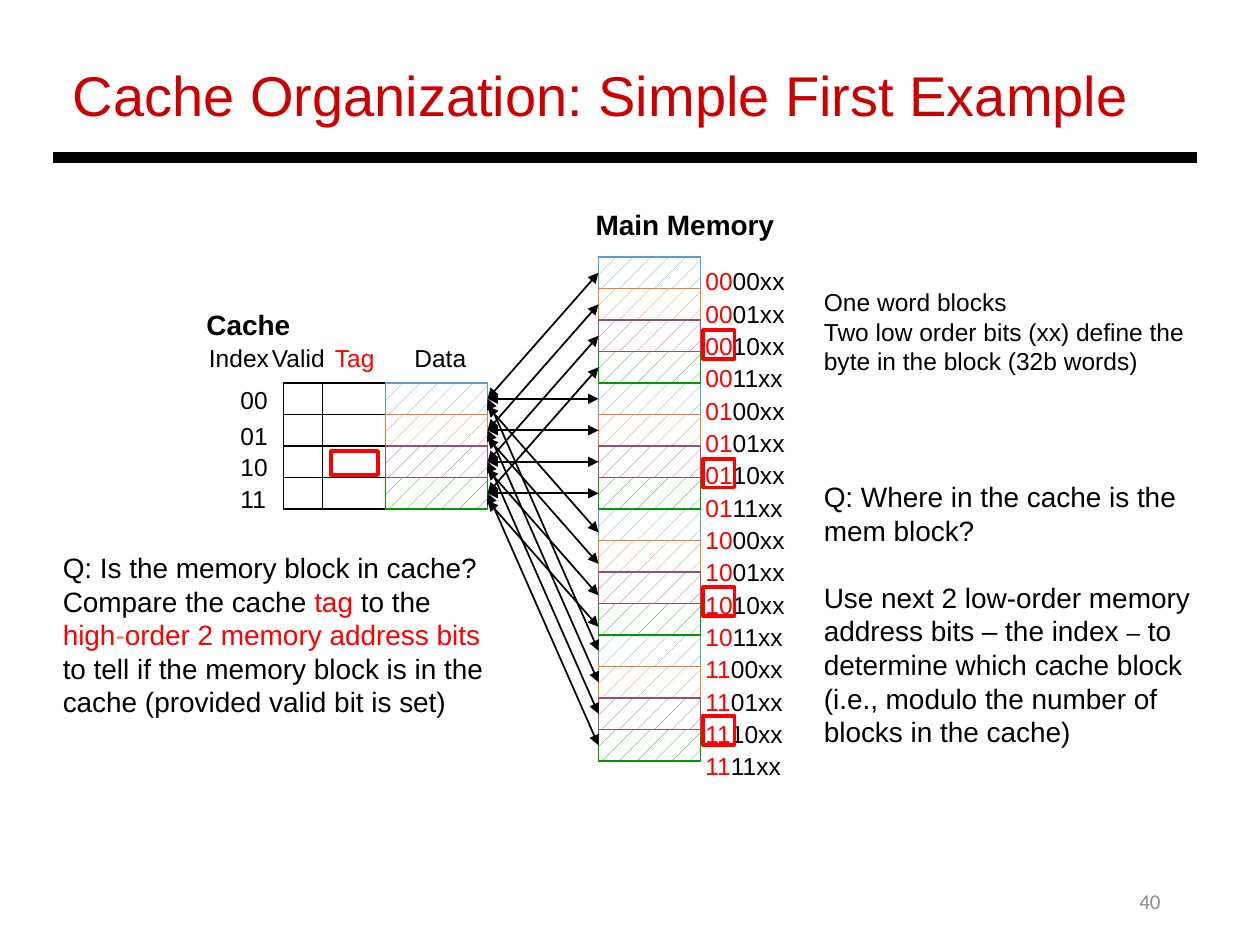
from dataclasses import dataclass

from lxml import etree
from pptx import Presentation
from pptx import util as u
from pptx.dml import color
from pptx.enum import dml, shapes, text
from pptx.oxml import ns


def rgb(code):
    """Return the colour for a hex code."""
    return color.RGBColor.from_string(code)


@dataclass(frozen=True)
class Theme:
    """Colours, fonts and type sizes of the slide."""
    black = rgb("000000")
    white = rgb("FFFFFF")
    red = rgb("FF0000")
    title_red = rgb("CC0000")
    grey = rgb("8C8C8C")
    blue = rgb("5B9BD5")
    orange = rgb("ED7D31")
    purple = rgb("954F72")
    green = rgb("009900")
    font = "Arial"
    number_font = "Calibri"
    title_size = 32
    body_size = 16
    label_size = 14
    number_size = 12


THEME = Theme()
BLOCK_COLOURS = [THEME.blue, THEME.orange, THEME.purple, THEME.green]
STACKING = [0, 3, 1, 2]
ROW = 0.25
BLOCK_WIDTH = 0.81
BITS = ["00", "01", "10", "11"]


def apply(target, values):
    """Set each named attribute of the target."""
    for name, value in values.items():
        setattr(target, name, value)


def add_text(slide, box, paragraphs, size=THEME.label_size, wrap=True,
             anchor=text.MSO_ANCHOR.TOP, fit=text.MSO_AUTO_SIZE.SHAPE_TO_FIT_TEXT,
             layout=None, **font):
    """Place paragraphs, each a list of (words, font overrides) runs, in a box."""
    frame = slide.shapes.add_textbox(*map(u.Inches, box)).text_frame
    apply(frame, {"word_wrap": wrap, "auto_size": fit, "vertical_anchor": anchor})
    for number, runs in enumerate(paragraphs):
        paragraph = frame.add_paragraph() if number else frame.paragraphs[0]
        apply(paragraph, layout or {})
        for words, overrides in runs:
            run = paragraph.add_run()
            run.text = words
            values = {"size": size, "name": THEME.font, "color": THEME.black, **font, **overrides}
            run.font.color.rgb = values.pop("color")
            values["size"] = u.Pt(values["size"])
            apply(run.font, values)
    return frame


def add_label(slide, box, words, **font):
    """Place a one-line label that does not wrap."""
    add_text(slide, box, [[(words, {})]], wrap=False, **font)


def add_box(slide, box, colour, width=1.0, patterned=False):
    """Draw an outlined rectangle, either empty or with a dotted pattern."""
    rectangle = slide.shapes.add_shape(shapes.MSO_SHAPE.RECTANGLE, *map(u.Inches, box))
    rectangle.shadow.inherit = False
    if patterned:
        rectangle.fill.patterned()
        rectangle.fill.pattern = dml.MSO_PATTERN.PERCENT_5
        rectangle.fill.fore_color.rgb = colour
        rectangle.fill.back_color.rgb = THEME.white
    else:
        rectangle.fill.background()
    rectangle.line.color.rgb = colour
    rectangle.line.width = u.Pt(width)
    return rectangle


def add_line(slide, start, end, width=1.0, arrows=False):
    """Draw a straight black line, with arrowheads at both ends if asked."""
    line = slide.shapes.add_connector(shapes.MSO_CONNECTOR.STRAIGHT,
                                      *map(u.Inches, (*start, *end)))
    line.line.color.rgb = THEME.black
    line.line.width = u.Pt(width)
    properties = line.element.spPr
    if arrows:
        for tag in ("a:headEnd", "a:tailEnd"):
            etree.SubElement(properties.find(ns.qn("a:ln")), ns.qn(tag), type="triangle")
    etree.SubElement(properties, ns.qn("a:effectLst"))
    return line


def add_header(slide, left, top, width):
    """Place the title and the rule under it."""
    add_text(slide, (left + 0.06, top, width + 0.05, 0.64),
             [[("Cache Organization: Simple First Example", {})]],
             size=THEME.title_size, color=THEME.title_red)
    add_line(slide, (left, top + 0.82), (left + width, top + 0.82), width=6)


def add_blocks(slide, left, top, count):
    """Stack memory blocks in the repeating colours and return them in order."""
    blocks = {}
    for kind in STACKING:
        for row in range(kind, count, len(BLOCK_COLOURS)):
            blocks[row] = add_box(slide, (left, top + row * ROW, BLOCK_WIDTH, ROW),
                                  BLOCK_COLOURS[kind], patterned=True)
    return [blocks[row] for row in range(count)]


def add_column(slide, left, top, width):
    """Draw an empty four-row column of the cache."""
    add_box(slide, (left, top, width, len(BITS) * ROW), THEME.black)
    for row in range(1, len(BITS)):
        y = top + row * ROW
        add_line(slide, (left, y), (left + width, y))


def add_cache(slide, left, top):
    """Draw the cache with its headings and return the data blocks."""
    add_label(slide, (left - 0.71, top - 0.65, 0.87, 0.37), "Cache",
              size=THEME.body_size, bold=True)
    headings = [("Index", -0.69, 0.68, THEME.black), ("Valid", -0.19, 0.62, THEME.black),
                ("Tag", 0.31, 0.52, THEME.red), ("Data", 0.94, 0.62, THEME.black)]
    for words, offset, width, colour in headings:
        add_label(slide, (left + offset, top - 0.37, width, 0.34), words, color=colour)
    for row, bits in enumerate(BITS):
        nudge = 0.03 if row == 0 else 0
        add_label(slide, (left - 0.44, top + row * ROW - nudge, 0.42, 0.34), bits)
    add_column(slide, left, top, 0.31)
    add_column(slide, left + 0.31, top, 0.5)
    blocks = add_blocks(slide, left + 0.81, top, len(BITS))
    add_box(slide, (left + 0.38, top + 0.54, 0.37, 0.19), THEME.red, width=2.25)
    return blocks


def add_memory(slide, left, top):
    """Draw main memory with its addresses and return the blocks."""
    add_label(slide, (left - 0.12, top - 0.44, 1.64, 0.37), "Main Memory",
              size=THEME.body_size, bold=True)
    blocks = add_blocks(slide, left, top, len(BITS) ** 2)
    addresses = [[(tag, {"color": THEME.red}), (index + "xx", {})]
                 for tag in BITS for index in BITS]
    add_text(slide, (left + 0.75, top, 1.05, 4.25), addresses, layout={"line_spacing": 1.1})
    for group in range(len(BITS)):
        add_box(slide, (left + 0.83, top + 0.58 + group * 1.02, 0.25, 0.23),
                THEME.red, width=2.25)
    return blocks


def add_mapping(slide, cache_box, memory_box, cache_blocks, memory_blocks):
    """Link every memory block to the cache block that its index selects."""
    cache_right, cache_top = cache_box
    memory_left, memory_top = memory_box
    lowered_group = 2
    for number, memory_block in enumerate(memory_blocks):
        group, index = divmod(number, len(cache_blocks))
        shift = ROW / 2 + (0.06 if group == lowered_group else 0)
        link = add_line(slide, (memory_left, memory_top + number * ROW + shift),
                        (cache_right, cache_top + index * ROW + shift), arrows=True)
        if group != lowered_group:
            link.begin_connect(memory_block, 1)
            link.end_connect(cache_blocks[index], 3)


def add_notes(slide, left, right):
    """Place the questions and explanations beside the diagram."""
    red = {"color": THEME.red}
    add_text(slide, (left, 4.32, 3.57, 1.45), [
        [("Q: Is the memory block in cache?", {})],
        [("Compare the cache ", {}), ("tag ", red), ("to the ", {}), ("high", red),
         ("-", {"color": THEME.orange}), ("order 2 memory address bits ", red),
         ("to tell if the memory block is in the cache (provided valid bit is set)", {})],
    ], size=THEME.body_size)
    add_text(slide, (right, 2.23, 3.19, 0.81), [
        [("One word blocks", {})],
        [("Two low order bits (xx) define the byte in the block (32b words)", {})],
    ])
    where = add_text(slide, (right, 3.76, 3.4, 2.26), [
        [("Q: Where in the cache is the mem block?", {})],
        [("Use next 2 low-order memory address bits – the index ", {}),
         ("–", {"size": THEME.label_size}),
         (" to determine which cache block (i.e., modulo the number of blocks in the cache)", {})],
    ], size=THEME.body_size)
    where.paragraphs[1].space_before = u.Pt(19)


def main():
    """Build the slide and save it."""
    deck = Presentation()
    apply(deck, {"slide_width": u.Inches(10), "slide_height": u.Inches(7.5)})
    slide = deck.slides.add_slide(deck.slide_layouts[6])
    add_header(slide, 0.42, 0.43, 9.08)
    cache_blocks = add_cache(slide, 2.25, 3.04)
    memory_blocks = add_memory(slide, 4.75, 2.04)
    add_mapping(slide, (3.87, 3.04), (4.75, 2.04), cache_blocks, memory_blocks)
    add_notes(slide, 0.4, 6.44)
    add_text(slide, (7.06, 6.95, 2.25, 0.4), [[("40", {})]], size=THEME.number_size,
             anchor=text.MSO_ANCHOR.MIDDLE, fit=text.MSO_AUTO_SIZE.NONE,
             layout={"alignment": text.PP_ALIGN.RIGHT},
             name=THEME.number_font, color=THEME.grey)
    deck.save("out.pptx")


if __name__ == "__main__":
    main()
